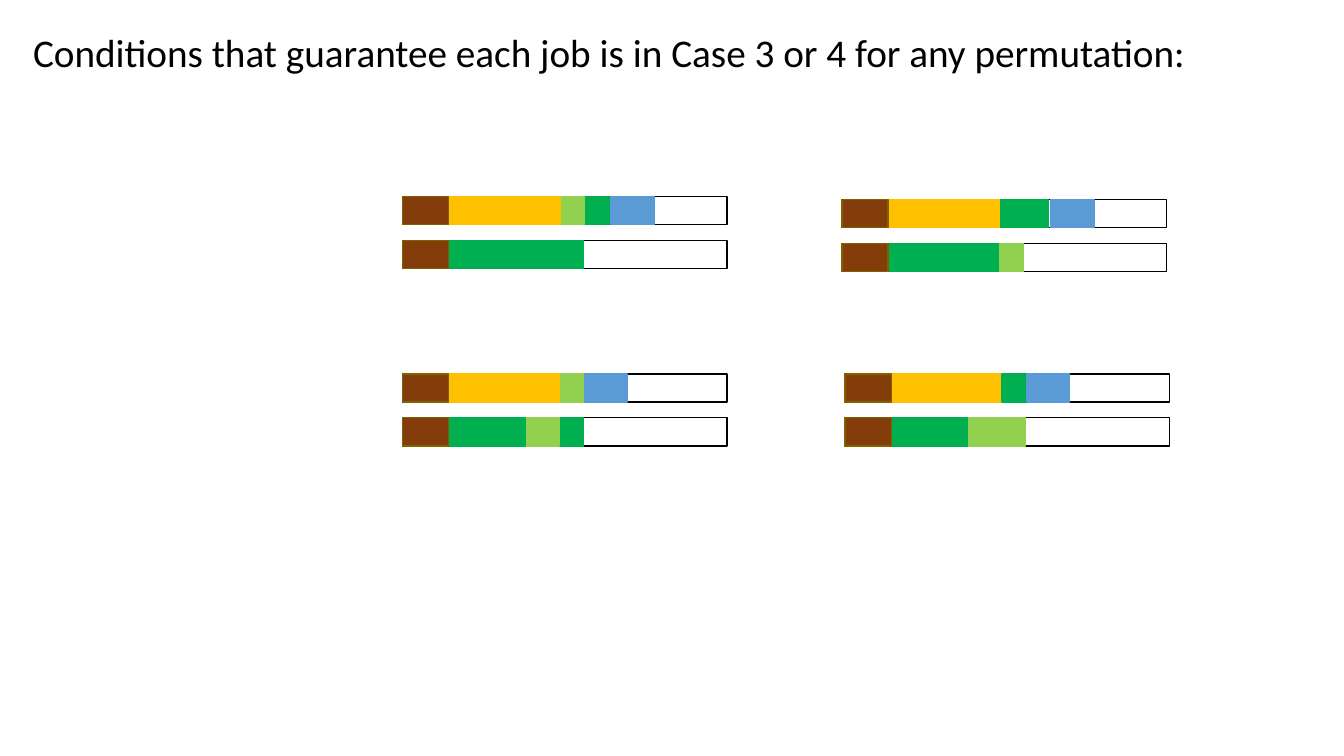
from pptx import Presentation
from pptx.dml.color import RGBColor
from pptx.enum.shapes import MSO_SHAPE
from pptx.enum.text import MSO_AUTO_SIZE
from pptx.util import Inches, Pt

RECT = MSO_SHAPE.RECTANGLE
FIT_SHAPE = MSO_AUTO_SIZE.SHAPE_TO_FIT_TEXT

BLACK = RGBColor(0x00, 0x00, 0x00)
BROWN = RGBColor(0x84, 0x3C, 0x0B)
OLIVE = RGBColor(0x80, 0x60, 0x00)
YELLOW = RGBColor(0xFF, 0xC0, 0x00)
GREEN = RGBColor(0x00, 0xB0, 0x50)
LIME = RGBColor(0x92, 0xD0, 0x50)
BLUE = RGBColor(0x5B, 0x9B, 0xD5)

BAR_W, BAR_H = 3.22, 0.28
ROW_STEP = 0.435
HEAD_W = 0.46

# Left and top of each schedule, then its two bars;
# a segment is (offset from the bar's left, width, colour).
SCHEDULES = [
    (3.99, 1.95,
     [(0.46, 1.11, YELLOW), (2.07, 0.43, BLUE), (1.58, 0.23, LIME), (1.82, 0.23, GREEN)],
     [(0.47, 1.33, GREEN)]),
    (3.99, 3.71,
     [(0.46, 1.11, YELLOW), (1.8, 0.43, BLUE), (1.57, 0.23, LIME)],
     [(1.22, 0.34, LIME), (0.47, 0.75, GREEN), (1.57, 0.23, GREEN)]),
    (8.38, 3.71,
     [(0.46, 1.11, YELLOW), (1.8, 0.43, BLUE), (1.56, 0.23, GREEN)],
     [(1.22, 0.34, LIME), (0.46, 0.75, GREEN), (1.56, 0.23, LIME)]),
    (8.35, 1.98,
     [(0.46, 1.11, YELLOW), (2.07, 0.43, BLUE), (1.58, 0.47, GREEN)],
     [(0.47, 1.1, GREEN), (1.57, 0.23, LIME)]),
]


def add_text(s, text, left, top, width, height, *, size, color=BLACK, font="Calibri"):
    tf = s.shapes.add_textbox(
        Inches(left), Inches(top), Inches(width), Inches(height)).text_frame
    tf.word_wrap = False
    tf.auto_size = FIT_SHAPE
    r = tf.paragraphs[0].add_run()
    r.text = text
    r.font.name = font
    r.font.size = Pt(size)
    r.font.color.rgb = color


def add_block(s, left, top, width, line, fill=None):
    sp = s.shapes.add_shape(
        RECT, Inches(left), Inches(top), Inches(width), Inches(BAR_H))
    sp.shadow.inherit = False
    if fill is None:
        sp.fill.background()
    else:
        sp.fill.solid()
        sp.fill.fore_color.rgb = fill
    sp.line.color.rgb = line
    sp.line.width = Pt(1)


def add_bar(s, left, top, segments):
    """Draw an outlined bar, its coloured segments and the brown head."""
    add_block(s, left, top, BAR_W, BLACK)
    for offset, width, color in segments:
        add_block(s, left + offset, top, width, color, color)
    add_block(s, left, top, HEAD_W, OLIVE, BROWN)


def main():
    prs = Presentation()
    prs.slide_width, prs.slide_height = Inches(13.33), Inches(7.5)
    s = prs.slides.add_slide(prs.slide_layouts[6])
    add_text(s, "Conditions that guarantee each job is in Case 3 or 4 for any permutation:",
             0.23, 0.23, 11.76, 0.57, size=28)
    for left, top, *bars in SCHEDULES:
        for row, segments in enumerate(bars):
            add_bar(s, left, top + row * ROW_STEP, segments)
    prs.save("out.pptx")


if __name__ == "__main__":
    main()
